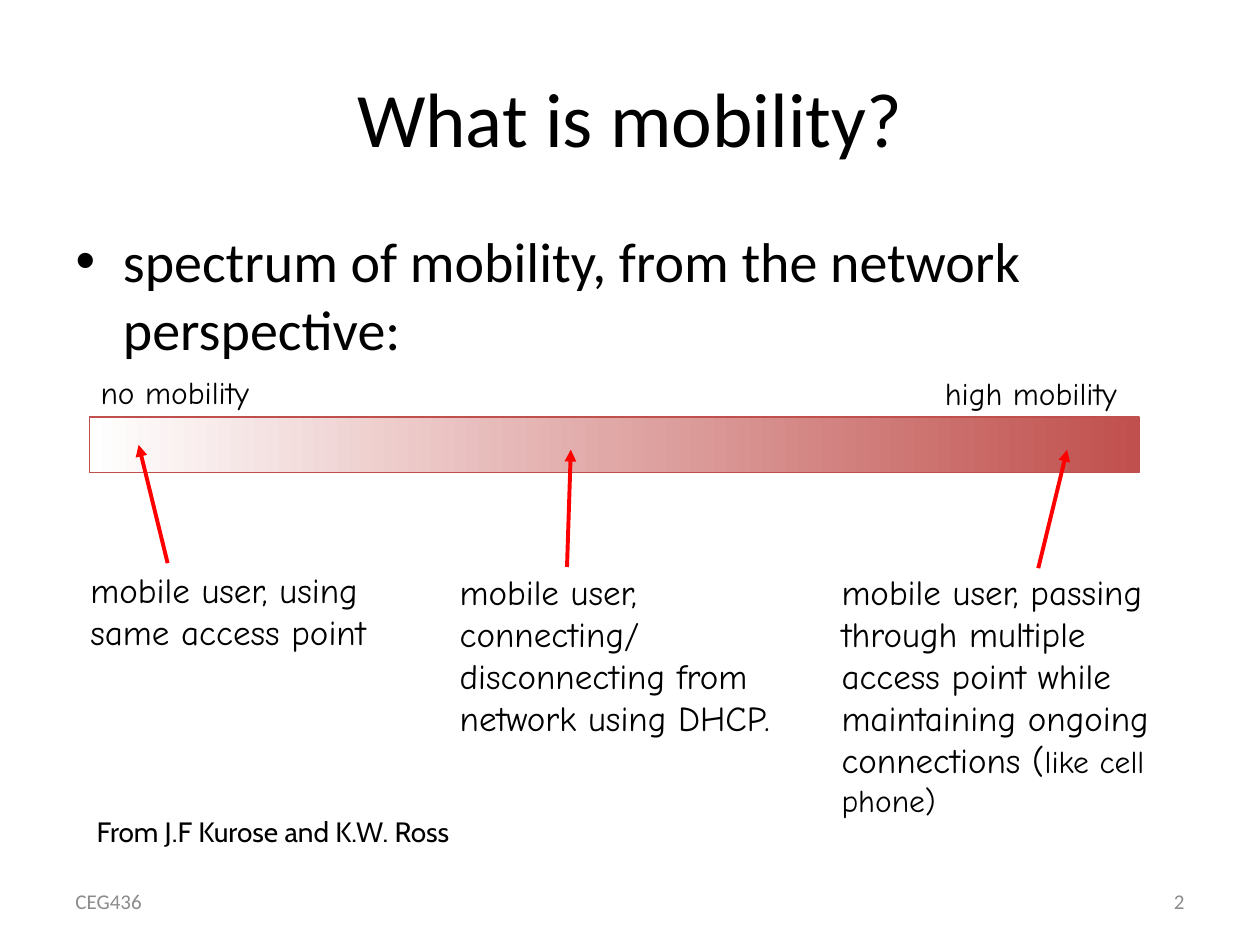
from pptx import Presentation
from pptx.dml.color import RGBColor
from pptx.enum.shapes import MSO_CONNECTOR, MSO_SHAPE
from pptx.enum.text import MSO_ANCHOR, PP_ALIGN
from pptx.oxml.ns import qn
from pptx.util import Pt
from lxml.etree import SubElement

BLACK = RGBColor(0x00, 0x00, 0x00)
WHITE = RGBColor(0xFF, 0xFF, 0xFF)
BRICK = RGBColor(0xC0, 0x50, 0x4D)
RED = RGBColor(0xFF, 0x00, 0x00)
GREY = RGBColor(0x8C, 0x8C, 0x8C)


def write(sp, text, size=20, font="Comic Neue", color=BLACK,
          align=PP_ALIGN.LEFT, anchor=MSO_ANCHOR.TOP, wrap=True):
    tf = sp.text_frame
    tf.word_wrap = wrap
    tf.vertical_anchor = anchor
    tf.text = text
    for p in tf.paragraphs:
        p.alignment = align
        for r in p.runs:
            r.font.size = Pt(size)
            r.font.name = font
            r.font.color.rgb = color
    return tf


prs = Presentation()
prs.slide_width, prs.slide_height = Pt(720), Pt(540)
s = prs.slides.add_slide(prs.slide_layouts[1])

# Title and bullet
title, body = s.placeholders
title.left, title.top, title.width, title.height = Pt(36), Pt(21.6), Pt(648), Pt(90)
write(title, "What is mobility?", size=44, font="Calibri",
      align=PP_ALIGN.CENTER, anchor=MSO_ANCHOR.MIDDLE)
body.left, body.top, body.width, body.height = Pt(36), Pt(126), Pt(648), Pt(356.4)
write(body, "spectrum of mobility, from the network perspective:",
      size=32, font="Calibri")

# Spectrum bar
bar = s.shapes.add_shape(MSO_SHAPE.RECTANGLE, Pt(51.1), Pt(238.3), Pt(599.8), Pt(31.7))
bar.shadow.inherit = False
bar.fill.gradient()
bar.fill.gradient_angle = 0
for stop, position, color in zip(bar.fill.gradient_stops, (0, 1), (WHITE, BRICK)):
    stop.position = position
    stop.color.rgb = color
bar.line.color.rgb = BRICK
bar.line.width = Pt(0.75)

# Bar labels, user descriptions, credit and footer
middle = {"font": "Calibri", "size": 12, "color": GREY, "anchor": MSO_ANCHOR.MIDDLE}
texts = [
    (50.4, 209.5, 105.8, 28.8, "no mobility", {"size": 18, "wrap": False}),
    (532.8, 210.2, 121.7, 28.8, "high mobility", {"size": 18, "wrap": False}),
    (44.6, 321.1, 180.7, 55.4, "mobile user, using\nsame access point", {"wrap": False}),
    (255.6, 322.6, 191.5, 127.4,
     "mobile user, connecting/ disconnecting from network using DHCP.", {}),
    (48.2, 462.2, 236.2, 26.6, "From J.F Kurose and K.W. Ross",
     {"size": 16, "font": "Cabin", "wrap": False}),
    (36, 500.4, 168, 28.8, "CEG436", middle),
    (516, 500.4, 168, 28.8, "2", {**middle, "align": PP_ALIGN.RIGHT}),
]
for x, y, w, h, text, style in texts:
    write(s.shapes.add_textbox(Pt(x), Pt(y), Pt(w), Pt(h)), text, **style)

# High-mobility description ends in a smaller run
sp = s.shapes.add_textbox(Pt(473.8), Pt(322.6), Pt(211.7), Pt(149))
tf = write(sp, "mobile user, passing through multiple access point "
               "while maintaining ongoing connections (")
r = tf.paragraphs[0].add_run()
r.text = "like cell phone)"
r.font.size = Pt(18)
r.font.name = "Comic Neue"
r.font.color.rgb = BLACK

# Arrows from descriptions to the bar
arrows = [(95.8, 321.8, 79.2, 254.2), (593.3, 324.7, 609.8, 257), (324, 324, 326.2, 257)]
for x1, y1, x2, y2 in arrows:
    arrow = s.shapes.add_connector(MSO_CONNECTOR.STRAIGHT, Pt(x1), Pt(y1), Pt(x2), Pt(y2))
    arrow.line.color.rgb = RED
    arrow.line.width = Pt(2.25)
    SubElement(arrow.line._get_or_add_ln(), qn("a:tailEnd"), type="triangle")
    SubElement(arrow._element.spPr, qn("a:effectLst"))

prs.save("out.pptx")
